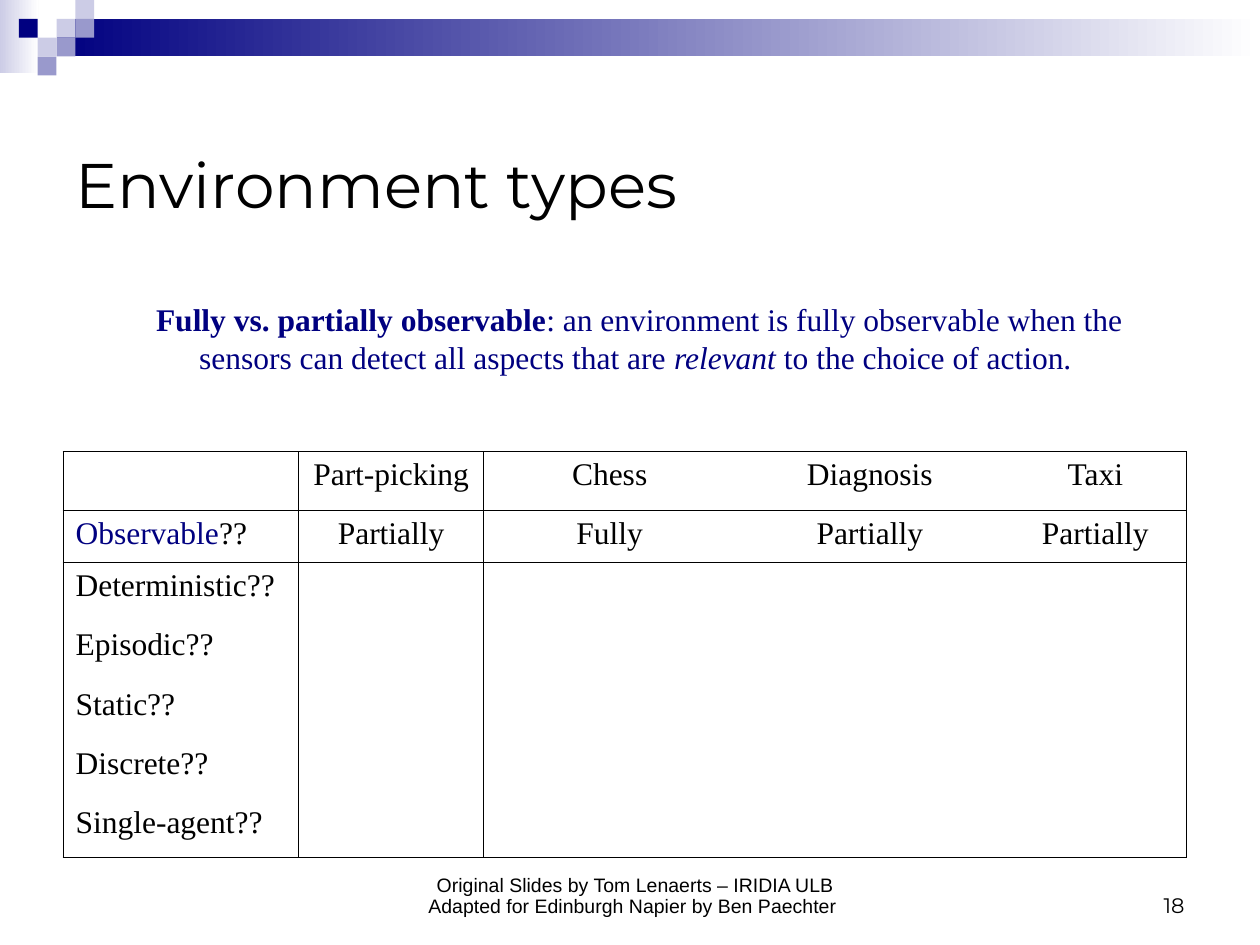
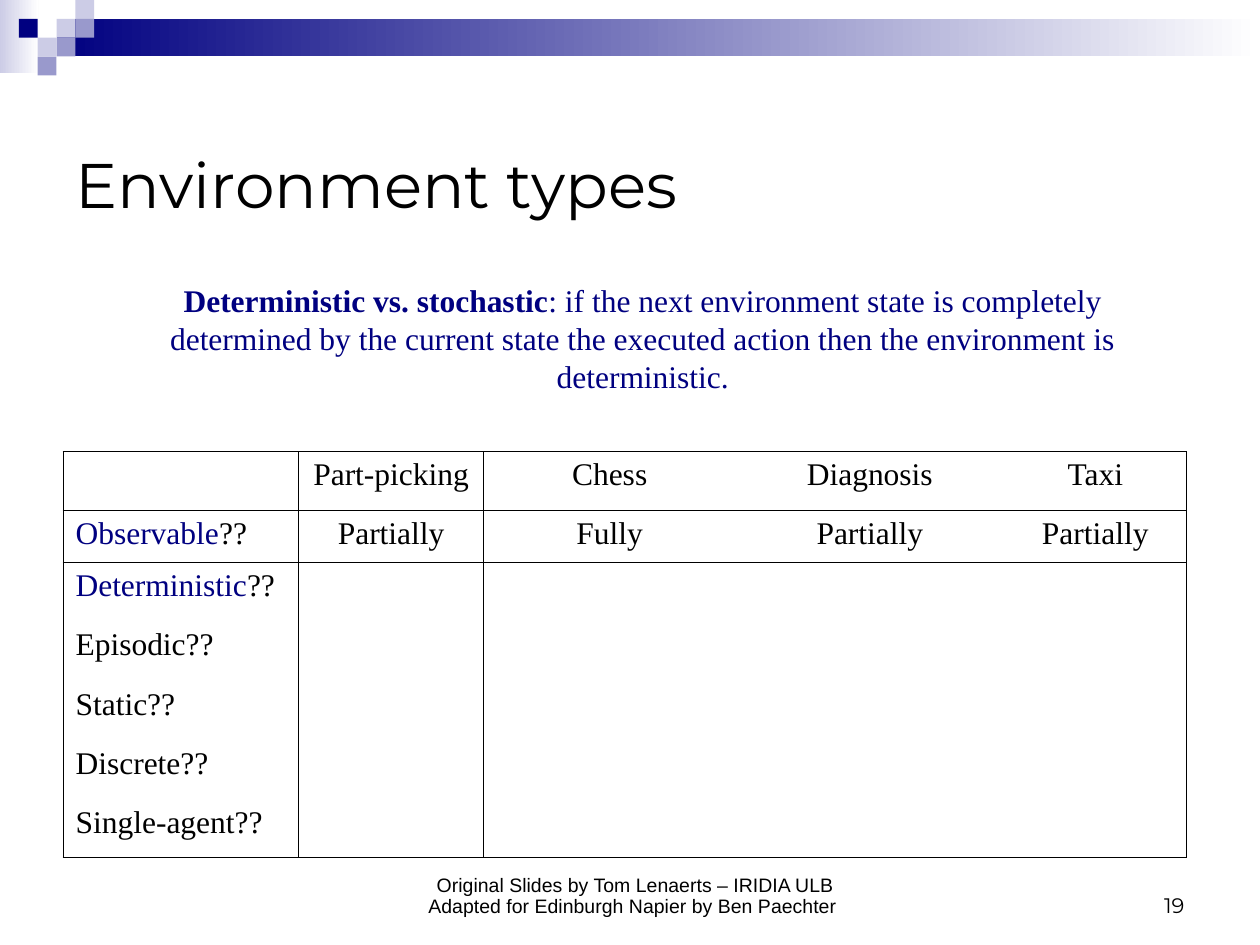
from pptx import Presentation
from pptx.dml.color import RGBColor
from pptx.enum.shapes import MSO_SHAPE
from pptx.enum.text import MSO_ANCHOR, PP_ALIGN
from pptx.oxml import parse_xml
from pptx.oxml.ns import nsdecls
from pptx.util import Cm, Pt

NAVY, MID, PALE = "000080", "9999CC", "CCCCE6"
WHITE, BLACK = "FFFFFF", "000000"
SANS, HEAD, SERIF = "Arial", "Montserrat", "Times New Roman"
LEFT, MIDDLE, RIGHT = PP_ALIGN.LEFT, PP_ALIGN.CENTER, PP_ALIGN.RIGHT
NO_STYLE = "{2D5ABB26-0587-4C30-8999-92F81FD0307C}"

UNIT = 0.38  # side of one square in the corner pattern
BANDS = [(0, 0, 0.78, 1.48, PALE), (3 * UNIT, UNIT, 24.26, 2 * UNIT, NAVY)]
SQUARES = [(3, 1, PALE), (4, 0, PALE), (4, 1, MID), (2, 2, PALE),
           (1, 1, NAVY), (3, 2, MID), (2, 3, MID)]

FOOTER = ["Original Slides by Tom Lenaerts – IRIDIA ULB",
          "Adapted for Edinburgh Napier by Ben Paechter "]
TASKS = ["Part-picking", "Chess", "Diagnosis", "Taxi"]
TRAITS = ["Observable", "Deterministic", "Episodic", "Static", "Discrete", "Single-agent"]
SEEN = ["Partially", "Fully", "Partially", "Partially"]
WIDTHS = [4.75, 3.73, 5.08, 5.41, 3.68]
HEIGHTS = [1.19, 1.05] + [1.19] * 5

# Each slide: page, definition box, definition lines as (text, style) runs
PAGES = [
    (18, (2.82, 5.92, 20.14, 1.78), [
        [("Fully vs. partially observable", "b"),
         (": an environment is fully observable when the ", "")],
        [("sensors can detect all aspects that are ", ""), ("relevant", "i"),
         (" to the choice of action. ", "")]]),
    (19, (3.18, 5.54, 19.56, 2.54), [
        [("Deterministic vs. stochastic", "b"),
         (": if the next environment state is completely", "")],
        [("determined by the current state the executed action then the environment is", "")],
        [("deterministic.", "")]]),
]


def tint(text):
    return RGBColor.from_string(text)


def write(frame, lines, font, size, align=LEFT, space=1.0):
    """Fill a text frame with lines of (text, style, colour) runs."""
    for n, line in enumerate(lines):
        para = frame.add_paragraph() if n else frame.paragraphs[0]
        para.alignment = align
        para.line_spacing = space
        for text, style, hue in line:
            run = para.add_run()
            run.text = text
            run.font.name = font
            run.font.size = Pt(size)
            run.font.bold = style == "b"
            run.font.italic = style == "i"
            run.font.color.rgb = tint(hue)


deck = Presentation()
deck.slide_width, deck.slide_height = Cm(25.4), Cm(19.05)

for count, (page, place, lines) in enumerate(PAGES, 1):
    slide = deck.slides.add_slide(deck.slide_layouts[6])
    shapes = slide.shapes

    # Gradient bands and corner squares
    for x, y, wide, high, hue in BANDS:
        band = shapes.add_shape(MSO_SHAPE.RECTANGLE, Cm(x), Cm(y), Cm(wide), Cm(high))
        band.shadow.inherit = False
        band.line.fill.background()
        band.fill.gradient()
        band.fill.gradient_angle = 0
        for stop, (spot, shade) in zip(band.fill.gradient_stops, [(0, hue), (1, WHITE)]):
            stop.position = spot
            stop.color.rgb = tint(shade)
    for col, row, hue in SQUARES:
        square = shapes.add_shape(MSO_SHAPE.RECTANGLE, Cm(col * UNIT), Cm(row * UNIT),
                                  Cm(UNIT), Cm(UNIT))
        square.shadow.inherit = False
        square.line.fill.background()
        square.fill.solid()
        square.fill.fore_color.rgb = tint(hue)

    # Title, footer, page number and definition
    footer = [[(text, "", BLACK)] for text in FOOTER]
    number = [[(str(page), "", BLACK)]]
    title = [[("Environment types", "", BLACK)]]
    meaning = [[(text, style, NAVY) for text, style in line] for line in lines]
    for spot, anchor, wrap, body, look in [
        ((7.7, 17.35, 10.21, 1.27), MSO_ANCHOR.BOTTOM, True, footer, (SANS, 11.1, MIDDLE, 0.9)),
        ((18.21, 17.35, 5.92, 1.27), MSO_ANCHOR.BOTTOM, True, number, (HEAD, 12, RIGHT)),
        ((1.27, 2.11, 22.86, 3.18), MSO_ANCHOR.MIDDLE, True, title, (HEAD, 36)),
        (place, MSO_ANCHOR.TOP, False, meaning, (SERIF, 18, MIDDLE)),
    ]:
        frame = shapes.add_textbox(*[Cm(v) for v in spot]).text_frame
        frame.word_wrap = wrap
        frame.vertical_anchor = anchor
        write(frame, body, *look)

    # Table: frame, header rule and first-column rule only
    table = shapes.add_table(len(HEIGHTS), len(WIDTHS), Cm(1.27), Cm(9.1),
                             Cm(sum(WIDTHS)), Cm(sum(HEIGHTS))).table
    table.first_row = table.horz_banding = False
    table._tbl.tblPr[0].text = NO_STYLE
    for col, wide in zip(table.columns, WIDTHS):
        col.width = Cm(wide)
    for row, high in zip(table.rows, HEIGHTS):
        row.height = Cm(high)

    for r in range(len(HEIGHTS)):
        for c in range(len(WIDTHS)):
            cell = table.cell(r, c)
            edges = {"L": c < 2, "R": c in (0, len(WIDTHS) - 1),
                     "T": r < 2, "B": r in (0, len(HEIGHTS) - 1)}
            for side, drawn in edges.items():
                if drawn:
                    cell._tc.get_or_add_tcPr().append(parse_xml(
                        f'<a:ln{side} {nsdecls("a")} w="{Pt(0.45)}"><a:solidFill>'
                        f'<a:srgbClr val="{BLACK}"/></a:solidFill></a:ln{side}>'))
            cell.fill.background()
            if c == 0 and r > 0:
                hue = NAVY if r <= count else BLACK
                write(cell.text_frame, [[(TRAITS[r - 1], "", hue), ("??", "", BLACK)]], SERIF, 18)
            elif c > 0 and r < 2:
                text = (TASKS, SEEN)[r][c - 1]
                write(cell.text_frame, [[(text, "", BLACK)]], SERIF, 18, MIDDLE)

deck.save("out.pptx")
